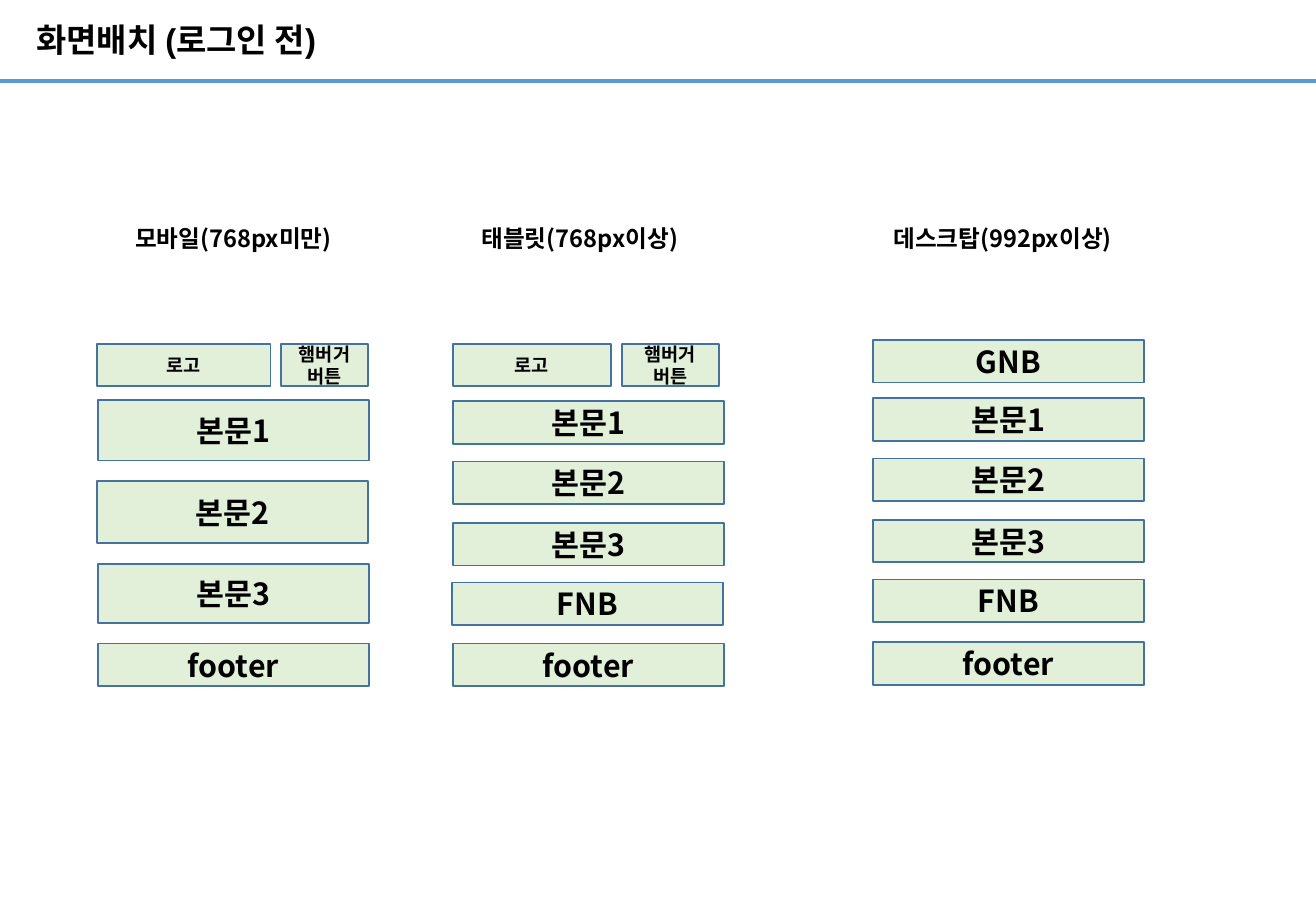
from lxml.etree import SubElement
from pptx import Presentation
from pptx.dml.color import RGBColor as Rgb
from pptx.enum.shapes import MSO_CONNECTOR as Link, MSO_SHAPE as Form
from pptx.enum.text import MSO_ANCHOR as Anchor, PP_ALIGN as Align
from pptx.oxml.ns import qn
from pptx.util import Cm, Pt

TITLE = "화면배치 (로그인 전)"
SANS = "Noto Sans CJK KR"
HUES = {"text": "000000", "fill": "E2F0D9", "edge": "43739E", "rule": "5B9BD5"}
WIDE, HIGH = 27.51, 19.05
SPAN, ROW = 5.66, 0.89
BIG, SMALL = 18, 11

HEADS = [
    ("모바일(768px미만)", 2.24, 5.28),
    ("태블릿(768px이상)", 9.73, 4.78),
    ("데스크탑(992px이상)", 18.24, 5.44),
]
BARS = [
    (7.19, [("로고", 2.03, 3.63), ("햄버거 버튼", 5.87, 1.83)]),
    (7.19, [("로고", 9.47, 3.3), ("햄버거 버튼", 13, 2.03)]),
]
STACKS = [
    [("본문1", 2.05, 8.36, 1.27), ("본문2", 2.03, 10.06, 1.3),
     ("본문3", 2.05, 11.79, 1.24), ("footer", 2.05, 13.46, ROW)],
    [("본문1", 9.47, 8.39, ROW), ("본문2", 9.47, 9.65, ROW),
     ("본문3", 9.47, 10.94, ROW), ("FNB", 9.45, 12.18, ROW),
     ("footer", 9.47, 13.46, ROW)],
    [("GNB", 18.25, 7.11, ROW), ("본문1", 18.25, 8.33, ROW),
     ("본문2", 18.25, 9.59, ROW), ("본문3", 18.25, 10.87, ROW),
     ("FNB", 18.25, 12.12, ROW), ("footer", 18.25, 13.43, ROW)],
]


def hue(key):
    return Rgb.from_string(HUES[key])


def write(shape, text, size, face=SANS, align=Align.CENTER):
    frame = shape.text_frame
    frame.word_wrap = True
    frame.vertical_anchor = Anchor.MIDDLE
    para = frame.paragraphs[0]
    para.text = text
    para.alignment = align
    font = para.font
    font.size, font.bold, font.name = Pt(size), True, face
    font.color.rgb = hue("text")
    SubElement(para._p.pPr.find(qn("a:defRPr")), qn("a:ea"), typeface=SANS)
    return frame


def block(slide, text, left, top, width, height, size):
    box = slide.shapes.add_shape(
        Form.RECTANGLE, Cm(left), Cm(top), Cm(width), Cm(height))
    box.shadow.inherit = False
    box.fill.solid()
    box.fill.fore_color.rgb = hue("fill")
    box.line.color.rgb = hue("edge")
    box.line.width = Pt(1)
    write(box, text, size)


def label(slide, left, top, width, height):
    return slide.shapes.add_textbox(Cm(left), Cm(top), Cm(width), Cm(height))


def main():
    """Build the screen layout slide."""
    deck = Presentation()
    deck.slide_width, deck.slide_height = Cm(WIDE), Cm(HIGH)
    slide = deck.slides.add_slide(deck.slide_layouts[6])

    rule = slide.shapes.add_connector(
        Link.STRAIGHT, 0, Cm(1.7), Cm(WIDE), Cm(1.7))
    rule.line.color.rgb = hue("rule")
    rule.line.width = Pt(2.25)
    SubElement(rule._element.spPr, qn("a:effectLst"))

    frame = write(label(slide, 0.76, 0, 18, 1.73), TITLE, 19.5, "Arial", Align.LEFT)
    frame.margin_left = frame.margin_right = 0
    frame.margin_top = frame.margin_bottom = 0
    frame.paragraphs[0].line_spacing = 0.9

    for text, left, width in HEADS:
        write(label(slide, left, 4.47, width, 1.02), text, 14)
    for top, parts in BARS:
        for text, left, width in parts:
            block(slide, text, left, top, width, ROW, SMALL)
    for stack in STACKS:
        for text, left, top, height in stack:
            block(slide, text, left, top, SPAN, height, BIG)
    deck.save("out.pptx")


if __name__ == "__main__":
    main()
